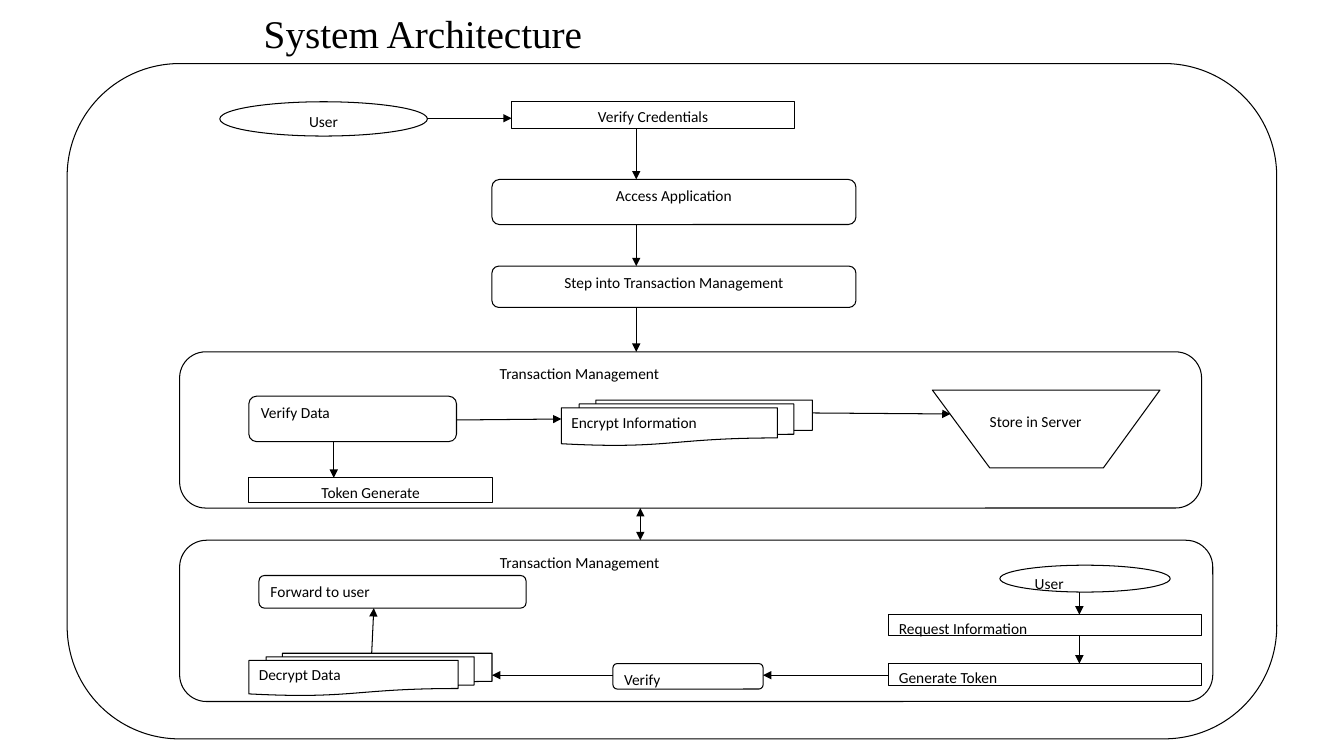
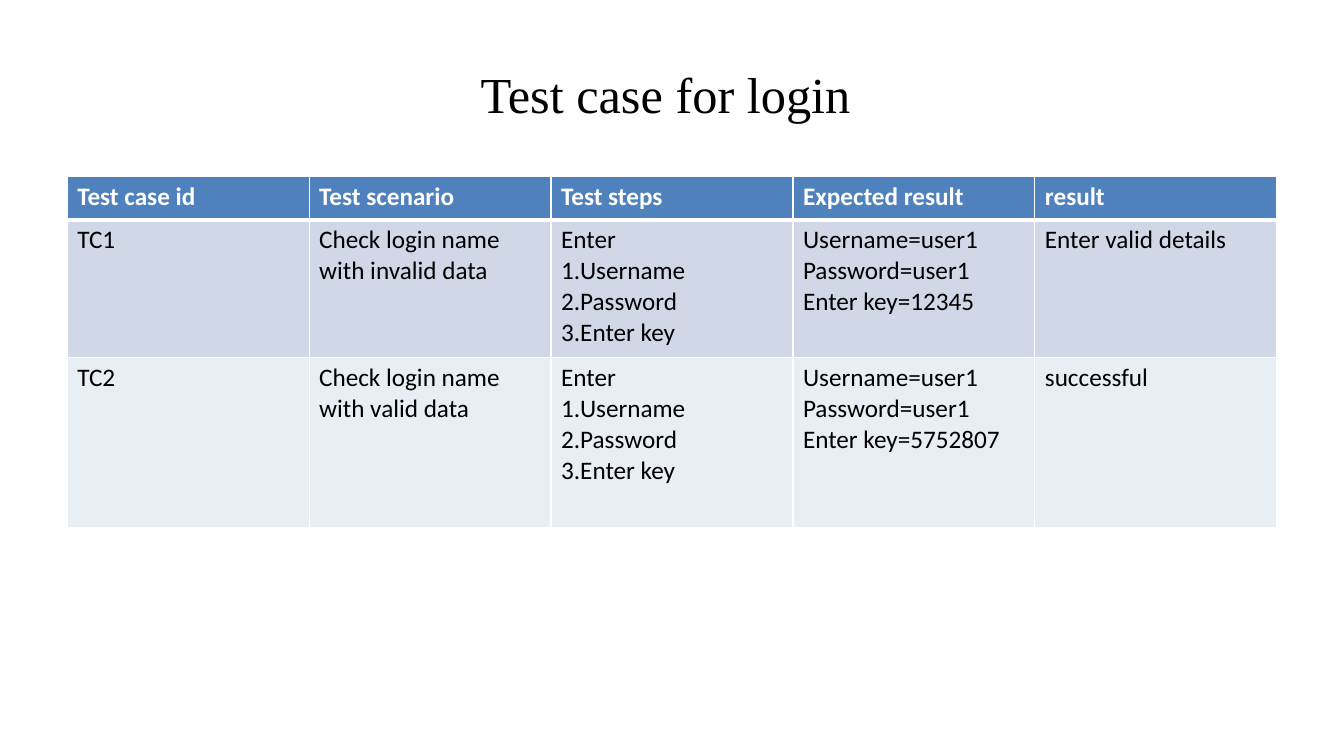
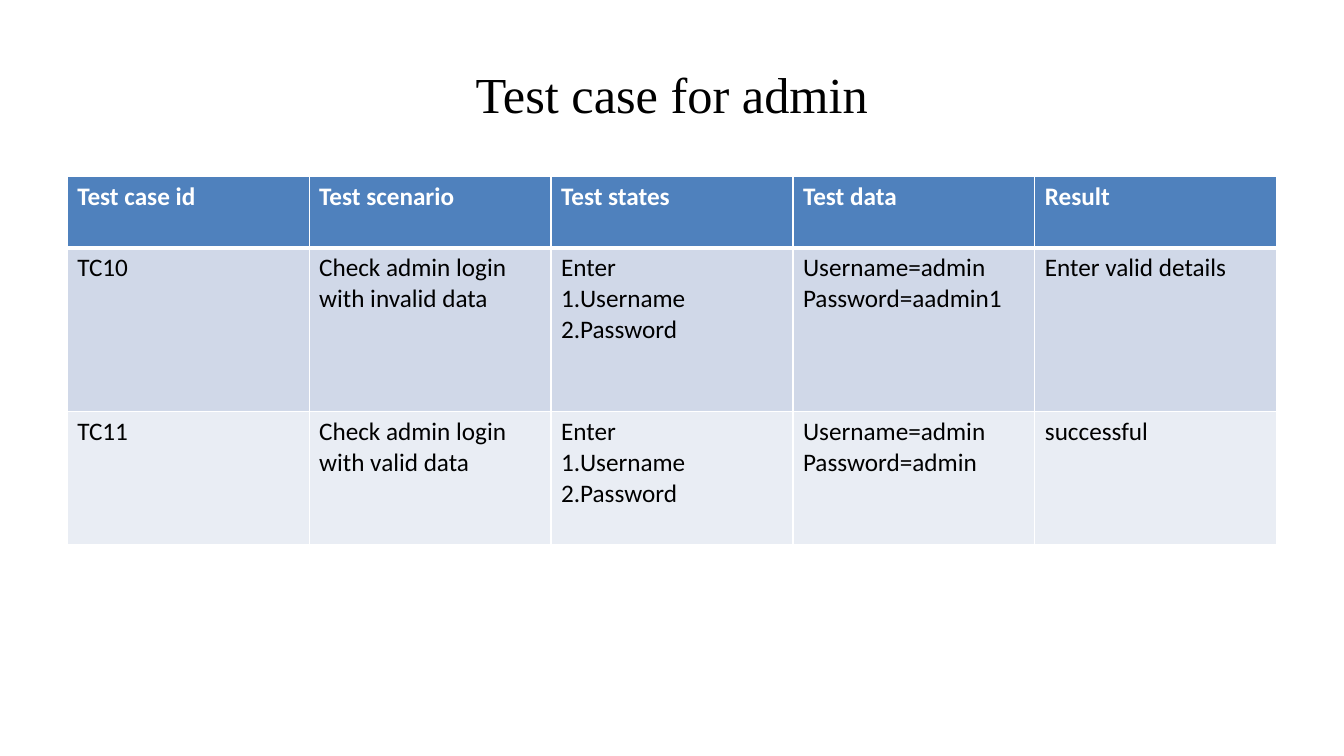
"""Build three slides: a system architecture diagram and two test case tables."""

from lxml.etree import SubElement
from pptx import Presentation
from pptx.dml.color import RGBColor
from pptx.enum.shapes import MSO_CONNECTOR, MSO_SHAPE as SHAPE
from pptx.enum.text import MSO_ANCHOR, PP_ALIGN as ALIGN
from pptx.oxml.ns import qn
from pptx.util import Pt

BLACK = RGBColor(0x00, 0x00, 0x00)
WHITE = RGBColor(0xFF, 0xFF, 0xFF)
HEADER_BLUE = RGBColor(0x4F, 0x81, 0xBD)
BAND_DARK = RGBColor(0xD0, 0xD8, 0xE8)
BAND_LIGHT = RGBColor(0xE9, 0xED, 0xF4)
TITLE_FONT = "Times New Roman"
BODY_FONT = "Calibri"
LEFT, WIDTH = 48, 864


def format_text(text_frame, font_name, size, color=BLACK, bold=False):
    for paragraph in text_frame.paragraphs:
        for run in paragraph.runs:
            run.font.name = font_name
            run.font.size = Pt(size)
            run.font.color.rgb = color
            run.font.bold = bold


def add_titled_slide(text, size=36, top=21.6, width=WIDTH, height=90):
    slide = presentation.slides.add_slide(presentation.slide_layouts[5])
    title = slide.shapes.title
    title.left, title.top = Pt(LEFT), Pt(top)
    title.width, title.height = Pt(width), Pt(height)
    title.text_frame.text = text
    title.text_frame.vertical_anchor = MSO_ANCHOR.MIDDLE
    title.text_frame.paragraphs[0].alignment = ALIGN.CENTER
    format_text(title.text_frame, TITLE_FONT, size)
    return slide


presentation = Presentation()
presentation.slide_width = Pt(960)
presentation.slide_height = Pt(540)

slide = add_titled_slide("System Architecture", 28, 0, 508.3, 47.5)

boxes = [
    (SHAPE.ROUNDED_RECTANGLE, 48, 45.4, 864, 482.4, "", ALIGN.LEFT),
    (SHAPE.ROUNDED_RECTANGLE, 128.3, 251.3, 730, 111.6, "Transaction Management", ALIGN.LEFT),
    (SHAPE.ROUNDED_RECTANGLE, 128.3, 385.9, 738, 115.2, "Transaction Management", ALIGN.LEFT),
    (SHAPE.OVAL, 157, 72.7, 148.3, 24.5, "User", ALIGN.CENTER),
    (SHAPE.RECTANGLE, 365.5, 72.7, 202, 19.4, "Verify Credentials", ALIGN.CENTER),
    (SHAPE.ROUNDED_RECTANGLE, 351.4, 128.2, 260, 32.2, "Access Application", ALIGN.CENTER),
    (SHAPE.ROUNDED_RECTANGLE, 351.4, 190.1, 260, 29.5, "Step into Transaction Management", ALIGN.CENTER),
    (SHAPE.ROUNDED_RECTANGLE, 177.8, 283, 148.3, 32.4, "Verify Data", ALIGN.LEFT),
    (SHAPE.FLOWCHART_MULTIDOCUMENT, 401, 285.8, 179.3, 32.4, "Encrypt Information", ALIGN.LEFT),
    (SHAPE.RECTANGLE, 177.8, 341.3, 174, 17.5, "Token Generate", ALIGN.CENTER),
    (SHAPE.OVAL, 714.2, 403.7, 121.7, 19.2, "User", ALIGN.LEFT),
    (SHAPE.RECTANGLE, 635, 439, 223.2, 15.1, "Request Information", ALIGN.LEFT),
    (SHAPE.RECTANGLE, 635, 474, 223.2, 15.8, "Generate Token", ALIGN.LEFT),
    (SHAPE.ROUNDED_RECTANGLE, 437.8, 474, 107.3, 18.2, "Verify", ALIGN.LEFT),
    (SHAPE.FLOWCHART_MULTIDOCUMENT, 177.8, 466.6, 173.7, 30.2, "Decrypt Data", ALIGN.LEFT),
    (SHAPE.ROUNDED_RECTANGLE, 185, 411.1, 190.8, 23.3, "Forward to user", ALIGN.LEFT),
]
diagram = []
for kind, left, top, width, height, label, alignment in boxes:
    shape = slide.shapes.add_shape(kind, Pt(left), Pt(top), Pt(width), Pt(height))
    if label == "Transaction Management":
        shape.text_frame.margin_left = Pt(223.2)
    diagram.append((shape, label, alignment))

builder = slide.shapes.build_freeform(Pt(666), Pt(278.6))
builder.add_line_segments([(Pt(707), Pt(334.2)), (Pt(788.2), Pt(334.2)), (Pt(828.6), Pt(278.6))])
server = builder.convert_to_shape()
server.text_frame.margin_left = Pt(41)
server.text_frame.margin_top = Pt(16)
diagram.append((server, "Store in Server", ALIGN.LEFT))

for shape, label, alignment in diagram:
    shape.shadow.inherit = False
    shape.fill.solid()
    shape.fill.fore_color.rgb = WHITE
    shape.line.color.rgb = BLACK
    shape.line.width = Pt(0.75)
    if label:
        shape.text_frame.text = label
        shape.text_frame.word_wrap = True
        shape.text_frame.vertical_anchor = MSO_ANCHOR.TOP
        paragraph = shape.text_frame.paragraphs[0]
        paragraph.alignment = alignment
        paragraph.space_after = Pt(10)
        format_text(shape.text_frame, BODY_FONT, 11)

ONE_WAY = ["a:tailEnd"]
TWO_WAY = ["a:headEnd", "a:tailEnd"]
arrows = [
    (305.3, 84.5, 365.5, 84.5, ONE_WAY),
    (454.5, 92.1, 454.5, 128.2, ONE_WAY),
    (454.5, 160.4, 454.5, 190.1, ONE_WAY),
    (454.5, 219.6, 454.5, 251.3, ONE_WAY),
    (326.1, 300, 401, 299.3, ONE_WAY),
    (580.3, 295, 679, 295.7, ONE_WAY),
    (238.4, 315.4, 238.4, 341.3, ONE_WAY),
    (457.4, 362.9, 457.4, 385.9, TWO_WAY),
    (771, 422.9, 771, 439, ONE_WAY),
    (771, 454.1, 771, 474, ONE_WAY),
    (635, 482.3, 545.1, 482.3, ONE_WAY),
    (437.8, 482.3, 351.5, 482.3, ONE_WAY),
    (265.5, 466.6, 267, 434.4, ONE_WAY),
]
for start_x, start_y, end_x, end_y, heads in arrows:
    connector = slide.shapes.add_connector(
        MSO_CONNECTOR.STRAIGHT, Pt(start_x), Pt(start_y), Pt(end_x), Pt(end_y)
    )
    connector.line.color.rgb = BLACK
    connector.line.width = Pt(0.75)
    properties = connector.element.spPr
    for head in heads:
        SubElement(properties.find(qn("a:ln")), qn(head), type="triangle")
    SubElement(properties, qn("a:effectLst"))

test_tables = [
    ("Test case for login ", [31, 98.6, 121], [
        ["Test case id", "Test scenario", "Test steps", "Expected result", "result"],
        ["TC1", "Check login name with invalid data", "Enter\n1.Username\n2.Password\n3.Enter key",
         "Username=user1\nPassword=user1\nEnter key=12345", "Enter valid details"],
        ["TC2", "Check login name with valid data", "Enter\n1.Username\n2.Password\n3.Enter key",
         "Username=user1\nPassword=user1\nEnter key=5752807", "successful"],
    ]),
    ("Test case for admin", [51, 117, 95], [
        ["Test case id", "Test scenario", "Test states", "Test data", "Result"],
        ["TC10", "Check admin login with invalid data", "Enter\n1.Username\n2.Password",
         "Username=admin\nPassword=aadmin1", "Enter valid details"],
        ["TC11", "Check admin login with valid data", "Enter\n1.Username\n2.Password",
         "Username=admin\nPassword=admin", "successful"],
    ]),
]
row_fills = [HEADER_BLUE, BAND_DARK, BAND_LIGHT]
for title, row_heights, rows in test_tables:
    slide = add_titled_slide(title)
    table = slide.shapes.add_table(
        len(rows), len(rows[0]), Pt(LEFT), Pt(126), Pt(WIDTH), Pt(sum(row_heights))
    ).table
    for row_index, texts in enumerate(rows):
        table.rows[row_index].height = Pt(row_heights[row_index])
        is_header = row_index == 0
        for column_index, text in enumerate(texts):
            cell = table.cell(row_index, column_index)
            cell.text_frame.text = text
            format_text(cell.text_frame, BODY_FONT, 18, WHITE if is_header else BLACK, is_header)
            widths = {"a:lnL": 1, "a:lnR": 1, "a:lnT": 3 if row_index == 1 else 1, "a:lnB": 3 if is_header else 1}
            for side, width in widths.items():
                border = SubElement(cell._tc.get_or_add_tcPr(), qn(side), w=str(Pt(width)))
                SubElement(SubElement(border, qn("a:solidFill")), qn("a:srgbClr"), val=str(WHITE))
            cell.fill.solid()
            cell.fill.fore_color.rgb = row_fills[row_index]

presentation.save("out.pptx")
